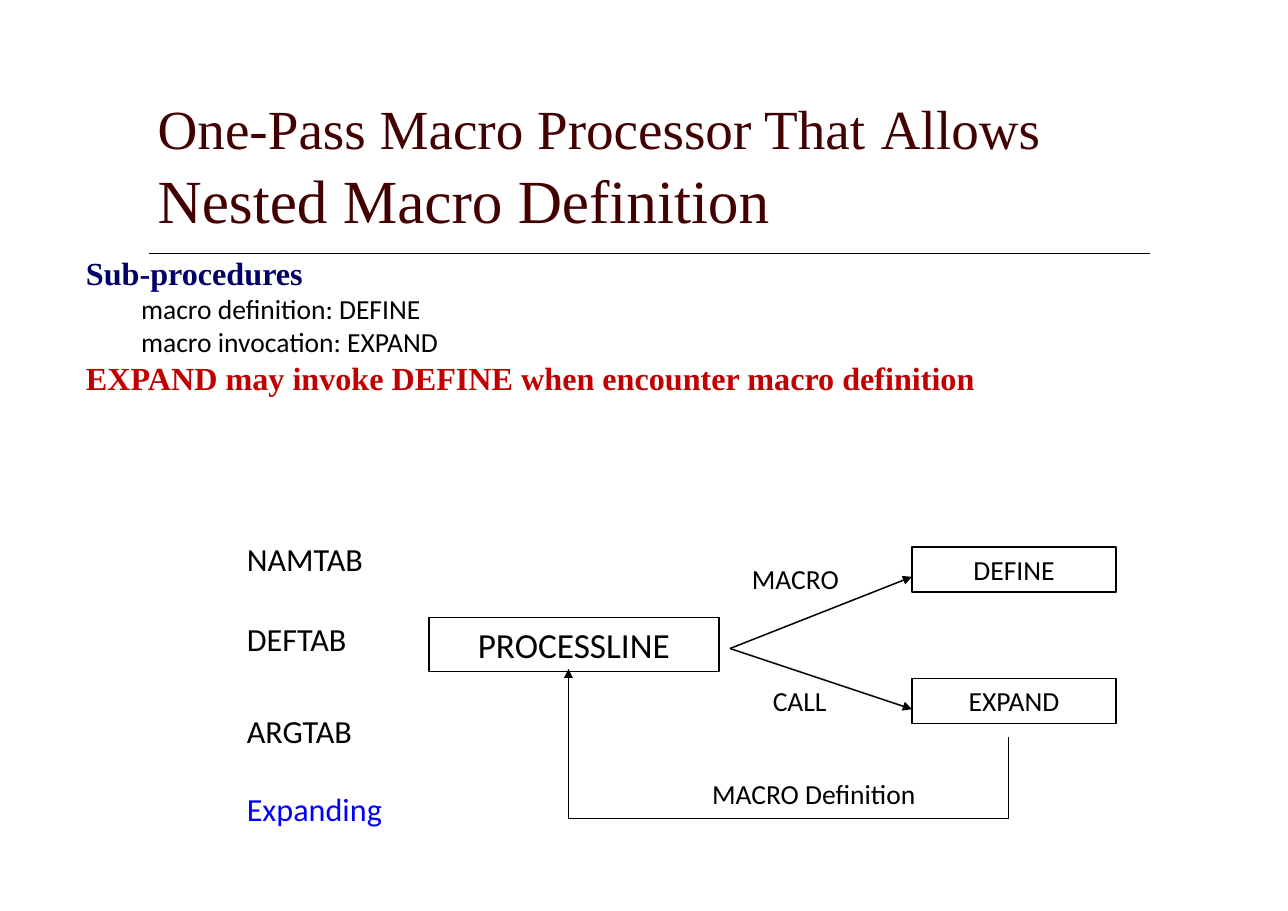
from lxml import etree
from pptx import Presentation
from pptx.dml.color import RGBColor
from pptx.enum import shapes, text
from pptx.oxml import ns
from pptx.util import Inches, Pt

THEME = {
    "serif": "Times New Roman", "sans": "Calibri",
    "black": "000000", "maroon": "420000", "navy": "000066", "red": "C00000", "blue": "0000FF",
    "title": 36, "title_large": 40, "heading": 21, "label": 18, "process": 23,
}


def style(font, face, size, color, bold=False):
    font.name = THEME[face]
    font.size = Pt(THEME[size])
    font.color.rgb = RGBColor.from_string(THEME[color])
    font.bold = bold


def draw_line(kind, start, end, width=1, arrow=True):
    line = page.shapes.add_connector(kind, *[Inches(value) for value in start + end])
    line.line.color.rgb = RGBColor.from_string(THEME["black"])
    line.line.width = Pt(width)
    if arrow:
        etree.SubElement(line.line._get_or_add_ln(), ns.qn("a:tailEnd"), type="triangle")
    etree.SubElement(line._element.spPr, ns.qn("a:effectLst"))
    return line


deck = Presentation()
deck.slide_width, deck.slide_height = Inches(11.68), Inches(8.26)
page = deck.slides.add_slide(deck.slide_layouts[6])

STRAIGHT = shapes.MSO_CONNECTOR.STRAIGHT
draw_line(STRAIGHT, (1.35, 2.3), (10.43, 2.3), width=0.96, arrow=False)

title = page.shapes.add_textbox(Inches(1.43), Inches(0.8), Inches(8.81), Inches(1.35))
body = page.shapes.add_textbox(Inches(0.78), Inches(2.3), Inches(9.93), Inches(1.34))
for box in (title, body):
    frame = box.text_frame
    frame.word_wrap = True
    frame.margin_left = frame.margin_top = frame.margin_right = frame.margin_bottom = 0

para = title.text_frame.paragraphs[0]
for words, size in [
    ("One-Pass Macro Processor That", "title"),
    (" ", "title_large"),
    ("Allows ", "title"),
    ("Nested Macro Definition", "title_large"),
]:
    span = para.add_run()
    span.text = words
    style(span.font, "serif", size, "maroon")

body_lines = [
    ("Sub-procedures", 0, "serif", "heading", "navy", True),
    ("macro definition: DEFINE", 1, "sans", "label", "black", False),
    ("macro invocation: EXPAND", 1, "sans", "label", "black", False),
    ("EXPAND may invoke DEFINE when encounter macro definition", 0, "serif", "heading", "red", True),
]
body.text_frame.text = "\n".join(line[0] for line in body_lines)
for para, (words, level, *look) in zip(body.text_frame.paragraphs, body_lines):
    para.level = level
    para._p.get_or_add_pPr().set("marL", str(Inches(0.5 * level)))
    style(para.font, *look)

for name, left, top, width, height, size in [
    ("DEFINE", 8.27, 4.96, 1.85, 0.41, "label"),
    ("EXPAND", 8.27, 6.15, 1.85, 0.41, "label"),
    ("PROCESSLINE", 3.89, 5.6, 2.63, 0.49, "process"),
]:
    box = page.shapes.add_shape(
        shapes.MSO_SHAPE.RECTANGLE, Inches(left), Inches(top), Inches(width), Inches(height))
    box.shadow.inherit = False
    box.fill.background()
    box.line.color.rgb = RGBColor.from_string(THEME["black"])
    box.line.width = Pt(1)
    box.text_frame.text = name
    para = box.text_frame.paragraphs[0]
    para.alignment = text.PP_ALIGN.CENTER
    style(para.font, "sans", size, "black")

for target_y in (5.23, 6.43):
    draw_line(STRAIGHT, (6.62, 5.88), (8.27, target_y))

return_arrow = draw_line(shapes.MSO_CONNECTOR.ELBOW, (6.84, 8.37), (7.46, 4.38))
return_arrow._element.spPr.find(ns.qn("a:xfrm")).set("rot", str(270 * 60000))
geometry = return_arrow._element.spPr.find(ns.qn("a:prstGeom"))
adjustments = geometry.find(ns.qn("a:avLst"))
if adjustments is None:
    adjustments = etree.SubElement(geometry, ns.qn("a:avLst"))
etree.SubElement(adjustments, ns.qn("a:gd"), name="adj1", fmla="val -118700")

for lines, left, top, width, height, size in [
    (["DEFTAB"], 2.14, 5.57, 1.11, 0.46, "heading"),
    (["NAMTAB"], 2.14, 4.84, 1.26, 0.46, "heading"),
    (["ARGTAB", "Expanding"], 2.14, 6.4, 1.44, 1.16, "heading"),
    (["MACRO"], 6.72, 5.05, 1, 0.4, "label"),
    (["CALL"], 6.91, 6.15, 0.7, 0.4, "label"),
    (["MACRO Definition"], 6.33, 6.98, 2.1, 0.42, "label"),
]:
    box = page.shapes.add_textbox(Inches(left), Inches(top), Inches(width), Inches(height))
    frame = box.text_frame
    frame.word_wrap = False
    frame.text = "\n".join(lines)
    for para in frame.paragraphs:
        style(para.font, "sans", size, "black")
    if lines == ["MACRO Definition"]:
        frame.margin_left = frame.margin_right = Inches(0.11)
        frame.margin_top = frame.margin_bottom = Inches(0.06)
        para.alignment = text.PP_ALIGN.CENTER
    if lines[-1] == "Expanding":
        para.space_before = Pt(25.6)
        style(para.font, "sans", size, "blue")

deck.save("out.pptx")
